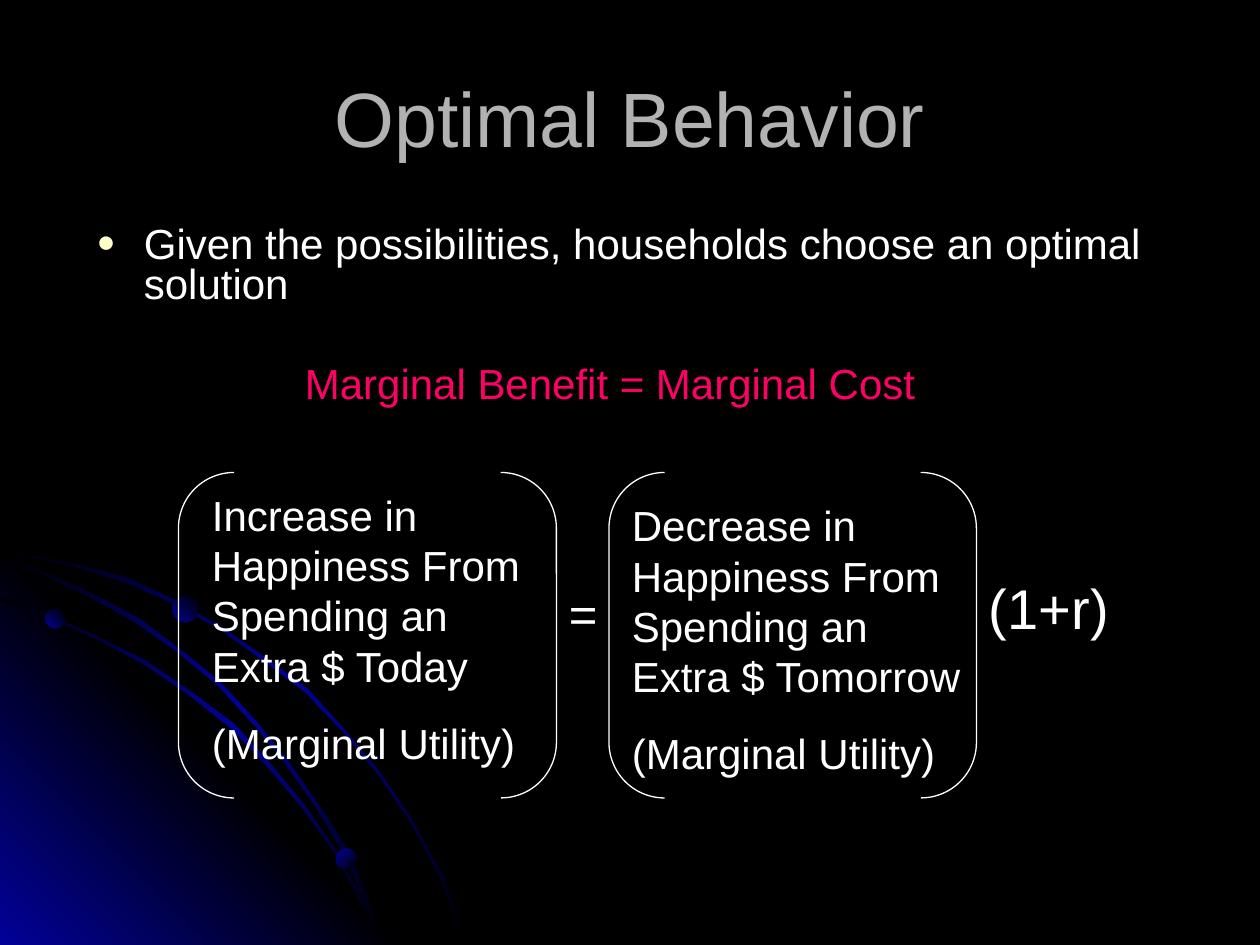
import copy
import pptx
import pptx.dml.color
import pptx.enum.shapes
import pptx.enum.text
import pptx.oxml
import pptx.oxml.ns
import pptx.util

Pt = pptx.util.Pt
SHAPE = pptx.enum.shapes.MSO_SHAPE
ALIGN = pptx.enum.text.PP_ALIGN
ANCHOR = pptx.enum.text.MSO_ANCHOR
FIT = pptx.enum.text.MSO_AUTO_SIZE
WHITE, BLACK, BLUE = "FFFFFF", "000000", "010199"
ARCS = [
    [(0, 315), (40, 323), (70, 332), (97, 344), (125, 359), (150, 377), (174, 395),
     (195, 417), (215, 441), (233, 467), (243, 485), (252, 503), (259, 521), (266, 539)],
    [(0, 343), (28, 353), (55, 365), (83, 380), (108, 397), (132, 416), (153, 438),
     (173, 462), (191, 487), (205, 514), (212, 527), (217, 539)],
    [(0, 320), (26, 329), (53, 342), (78, 356), (102, 373), (125, 392), (145, 414),
     (163, 436), (181, 462), (192, 480), (202, 500), (210, 520), (217, 539)],
]
DOTS = [(26, 348, 11, 135), (192, 485, 12, 225), (98.5, 340.5, 15, 135)]


def tint(code):
    """Turn a hex string into a colour."""
    return pptx.dml.color.RGBColor.from_string(code)


def place(shape, box):
    """Move a shape to a box of left, top, width and height in points."""
    shape.left, shape.top, shape.width, shape.height = (Pt(n) for n in box)


def shade(shape, codes, turn):
    """Fill a shape with evenly spaced colours, turned clockwise, and no line."""
    shape.shadow.inherit = False
    shape.line.fill.background()
    shape.fill.gradient()
    shape.fill.gradient_angle = 360 - turn
    stops = shape._element.spPr.find(".//" + pptx.oxml.ns.qn("a:gsLst"))
    while len(stops) < len(codes):
        stops.append(copy.deepcopy(stops[0]))
    for i, (stop, code) in enumerate(zip(shape.fill.gradient_stops, codes)):
        stop.color.rgb = tint(code)
        stop.position = i / (len(codes) - 1)


def write(para, text, size, code, before=0):
    """Add one run to a paragraph and set its look."""
    para.space_before = Pt(before)
    run = para.add_run()
    run.text = text
    run.font.name = "Arial"
    run.font.size = Pt(size)
    run.font.color.rgb = tint(code)


def trace(slide, points):
    """Draw a closed outline through points."""
    pen = slide.shapes.build_freeform(*points[0], scale=Pt(1))
    pen.add_line_segments(points[1:], close=True)
    return pen.convert_to_shape()


def decor(slide, box):
    """Draw the corner glow, the arcs and their dots in a box."""
    left, top, width, height = box
    glow = [(left, top), (left + width, top + height), (left, top + height)]
    outer = [(x + 1.5, y - 1.5) for x, y in ARCS[0]]
    for i, arc in enumerate(ARCS):
        outer = [(x + 1.5, y - 1.5) for x, y in reversed(arc)]
        shade(trace(slide, arc + outer), [BLACK, BLUE, BLACK], 225)
        if i == 0:
            shade(trace(slide, glow), [BLUE, BLACK, BLUE], 135)
    for x, y, size, turn in DOTS:
        dot = slide.shapes.add_shape(SHAPE.OVAL, Pt(x), Pt(y), Pt(size), Pt(size))
        shade(dot, [BLACK, BLUE], turn)


def title(slide, box):
    """Fill the title placeholder."""
    head = slide.shapes.title
    place(head, box)
    head.text_frame.vertical_anchor = ANCHOR.MIDDLE
    para = head.text_frame.paragraphs[0]
    para.alignment = ALIGN.CENTER
    write(para, "Optimal Behavior", 44, "B2B2B2")


def body(slide, box):
    """Fill the body placeholder with a bullet and a plain line."""
    hold = slide.placeholders[1]
    place(hold, box)
    frame = hold.text_frame
    frame.auto_size = FIT.NONE
    frame.vertical_anchor = ANCHOR.TOP
    first, second = frame.paragraphs[0], frame.add_paragraph()
    write(first, "Given the possibilities, households choose an optimal solution", 24, WHITE, 6)
    write(second, "Marginal Benefit = Marginal Cost", 24, "FF0066", 34)
    space = pptx.oxml.ns.nsdecls("a")
    marks = [f'<a:buClr {space}><a:srgbClr val="FFFFCC"/></a:buClr>',
             f'<a:buSzPct {space} val="75000"/>', f'<a:buChar {space} char="●"/>']
    for para, left, hang, bits in ((first, 27, -27, marks),
                                   (second, 119, 0, [f"<a:buNone {space}/>"])):
        para.line_spacing = 0.8
        props = para._p.get_or_add_pPr()
        props.set("marL", str(Pt(left)))
        props.set("indent", str(Pt(hang)))
        for bit in bits:
            props.append(pptx.oxml.parse_xml(bit))


def label(slide, box, lines, size, before):
    """Add a white text box with one paragraph for each line."""
    frame = slide.shapes.add_textbox(*(Pt(n) for n in box)).text_frame
    frame.word_wrap = True
    frame.auto_size = FIT.SHAPE_TO_FIT_TEXT
    for i, line in enumerate(lines):
        para = frame.add_paragraph() if i else frame.paragraphs[0]
        write(para, line, size, WHITE, before)


def term(slide, box, inset, text):
    """Draw a bracket pair around one side of the equation."""
    pair = slide.shapes.add_shape(SHAPE.DOUBLE_BRACKET, *(Pt(n) for n in box))
    pair.adjustments[0] = 0.171
    pair.shadow.inherit = False
    pair.fill.background()
    pair.line.color.rgb = tint(WHITE)
    pair.line.width = Pt(0.75)
    area = (box[0] + inset[0], box[1] + inset[1], 210, 166)
    label(slide, area, [text, "(Marginal Utility)"], 24, 15)


def balance(slide, box):
    """Set out the equation of the two terms in a box."""
    left, top, width, height = box
    term(slide, (left, top, 216, height), (12, 6),
         "Increase in Happiness From Spending an Extra $ Today")
    label(slide, (left + 216, top + 60, 36, 41), ["="], 28, 17.5)
    term(slide, (left + 246, top, 210, height), (6, 12),
         "Decrease in Happiness From Spending an Extra $ Tomorrow")
    label(slide, (left + 456, top + 54, width - 456, 46), ["(1+r)"], 32, 20)


def main():
    """Build and save the slide."""
    deck = pptx.Presentation()
    deck.slide_width, deck.slide_height = Pt(720), Pt(540)
    slide = deck.slides.add_slide(deck.slide_layouts[1])
    slide.background.fill.solid()
    slide.background.fill.fore_color.rgb = tint(BLACK)
    decor(slide, (0, 307.5, 232, 232))
    title(slide, (36, 21.6, 648, 90))
    body(slide, (48, 126, 636, 174))
    balance(slide, (102, 270, 552, 186))
    deck.save("out.pptx")


if __name__ == "__main__":
    main()
